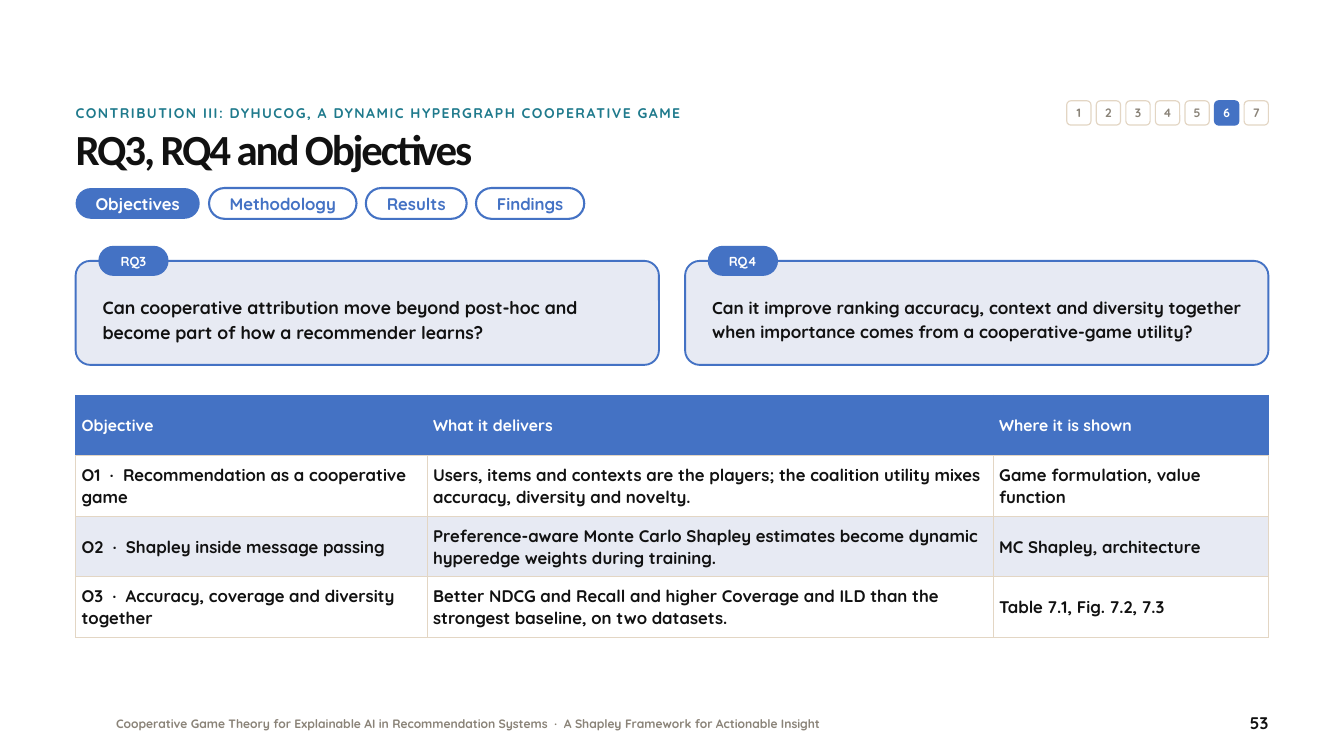
from lxml import etree
from pptx import Presentation
from pptx.dml.color import RGBColor
from pptx.enum.shapes import MSO_SHAPE
from pptx.enum.text import MSO_ANCHOR, PP_ALIGN
from pptx.oxml.ns import qn
from pptx.util import Pt

ROUNDED = MSO_SHAPE.ROUNDED_RECTANGLE
TOP, MIDDLE = MSO_ANCHOR.TOP, MSO_ANCHOR.MIDDLE
LEFT, CENTER, RIGHT = PP_ALIGN.LEFT, PP_ALIGN.CENTER, PP_ALIGN.RIGHT

COLORS = {
    "blue": "4472C4", "pale": "E7EAF3", "white": "FFFFFF", "ink": "111111",
    "grey": "8A8378", "sand": "E3D6C4", "teal": "1F7A8C",
}
MARGIN, CONTENT_WIDTH = 81, 1278
CARD_GAP = 28

STEPS = ["Objectives", "Methodology", "Results", "Findings"]
STEP_WIDTHS = [133, 158, 108, 116]
QUESTIONS = [
    ("RQ3", "Can cooperative attribution move beyond post-hoc and become part of "
            "how a recommender learns?", 19, 26.6),
    ("RQ4", "Can it improve ranking accuracy, context and diversity together when "
            "importance comes from a cooperative-game utility?", 18.4, 25.8),
]
COLUMN_WIDTHS = [376.5, 606.5, 295]
OBJECTIVES = [
    ["Objective", "What it delivers", "Where it is shown"],
    ["O1  ·  Recommendation as a cooperative game",
     "Users, items and contexts are the players; the coalition utility mixes "
     "accuracy, diversity and novelty.",
     "Game formulation, value function"],
    ["O2  ·  Shapley inside message passing",
     "Preference-aware Monte Carlo Shapley estimates become dynamic hyperedge "
     "weights during training.",
     "MC Shapley, architecture"],
    ["O3  ·  Accuracy, coverage and diversity together",
     "Better NDCG and Recall and higher Coverage and ILD than the strongest "
     "baseline, on two datasets.",
     "Table 7.1, Fig. 7.2, 7.3"],
]


def rgb(name):
    return RGBColor.from_string(COLORS[name])


def write(frame, text, size, color, leading, align=LEFT, font="Quicksand", tracking=0):
    paragraph = frame.paragraphs[0]
    paragraph.alignment = align
    paragraph.line_spacing = Pt(leading)
    run = paragraph.add_run()
    run.text = text
    for name, value in {"name": font, "size": Pt(size), "bold": True}.items():
        setattr(run.font, name, value)
    run.font.color.rgb = rgb(color)
    if tracking:
        run._r.get_or_add_rPr().set("spc", str(round(tracking * 100)))


def set_frame(frame, anchor, side=0):
    settings = {
        "word_wrap": True, "vertical_anchor": anchor,
        "margin_left": Pt(side), "margin_right": Pt(side),
        "margin_top": 0, "margin_bottom": 0,
    }
    for name, value in settings.items():
        setattr(frame, name, value)


def add_text(slide, box, *content, anchor=TOP, **style):
    frame = slide.shapes.add_textbox(*map(Pt, box)).text_frame
    set_frame(frame, anchor)
    write(frame, *content, **style)


def add_rounded(slide, box, radius, fill=None, line=None, weight=2.25):
    shape = slide.shapes.add_shape(ROUNDED, *map(Pt, box))
    shape.shadow.inherit = False
    shape.adjustments[0] = radius
    if fill:
        shape.fill.solid()
        shape.fill.fore_color.rgb = rgb(fill)
    else:
        shape.fill.background()
    if line:
        shape.line.color.rgb = rgb(line)
        shape.line.width = Pt(weight)
    else:
        shape.line.fill.background()
    set_frame(shape.text_frame, MIDDLE, 3.6)
    return shape


def add_header(slide, left, top, width):
    add_text(slide, (left, top, 1019, 26),
             "CONTRIBUTION III: DYHUCOG, A DYNAMIC HYPERGRAPH COOPERATIVE GAME",
             15, "teal", 20, tracking=1.6)
    add_text(slide, (left, top + 26, width, 57.6), "RQ3, RQ4 and Objectives",
             46, "ink", 50.6, font="Calibri", tracking=-2.3)


def add_chapter_tracker(slide, right, top, count=7, current=6, size=26, pitch=31.68):
    for number in range(1, count + 1):
        active = number == current
        left = right - size - (count - number) * pitch
        square = add_rounded(slide, (left, top, size, size), 0.167,
                             "blue" if active else "white",
                             "blue" if active else "sand", 1.25)
        set_frame(square.text_frame, MIDDLE)
        write(square.text_frame, str(number), 13,
              "white" if active else "grey", 15, CENTER)


def add_step_pills(slide, left, top, height=33, gap=10, current="Objectives"):
    for label, width in zip(STEPS, STEP_WIDTHS):
        active = label == current
        pill = add_rounded(slide, (left, top, width, height), 0.5,
                           "blue" if active else None, None if active else "blue")
        write(pill.text_frame, label, 18, "white" if active else "blue", 21.6, CENTER)
        left += width + gap


def add_question_card(slide, left, top, width, height, question):
    label, text, size, leading = question
    add_rounded(slide, (left, top, width, height), 0.142, "pale", "blue", 2)
    tag = add_rounded(slide, (left + 25.5, top - 15, 73, 30), 0.5, "blue", "blue")
    write(tag.text_frame, label, 14, "white", 16.8, CENTER)
    add_text(slide, (left + 29, top + 21.5, width - 58, 79),
             text, size, "ink", leading, anchor=MIDDLE)


def set_cell_borders(cell, color):
    properties = cell._tc.get_or_add_tcPr()
    for side in ("lnL", "lnR", "lnT", "lnB"):
        line = etree.SubElement(properties, qn(f"a:{side}"), w=str(Pt(1)))
        fill = etree.SubElement(line, qn("a:solidFill"))
        etree.SubElement(fill, qn("a:srgbClr"), val=COLORS[color])


def add_objectives_table(slide, left, top, width, height):
    row_count = len(OBJECTIVES)
    table = slide.shapes.add_table(row_count, len(COLUMN_WIDTHS),
                                   *map(Pt, (left, top, width, height))).table
    for column, column_width in zip(table.columns, COLUMN_WIDTHS):
        column.width = Pt(column_width)
    for row_index, texts in enumerate(OBJECTIVES):
        table.rows[row_index].height = Pt(height / row_count)
        header = row_index == 0
        fill = "blue" if header else ("white" if row_index % 2 else "pale")
        for column_index, text in enumerate(texts):
            cell = table.cell(row_index, column_index)
            settings = {
                "vertical_anchor": MIDDLE,
                "margin_left": Pt(6.5), "margin_right": Pt(6.5),
                "margin_top": Pt(3.6), "margin_bottom": Pt(3.6),
            }
            for name, value in settings.items():
                setattr(cell, name, value)
            set_cell_borders(cell, "blue" if header else "sand")
            cell.fill.solid()
            cell.fill.fore_color.rgb = rgb(fill)
            style = (17, "white", 22.1) if header else (18, "ink", 23.4)
            write(cell.text_frame, text, *style)


def add_footer(slide, left, right, top):
    add_text(slide, (left, top + 4.5, 1008, 21.6),
             "Cooperative Game Theory for Explainable AI in Recommendation Systems"
             "  ·  A Shapley Framework for Actionable Insight", 13, "grey", 16)
    add_text(slide, (right - 86, top, 86, 26), "53", 18, "ink", 22, align=RIGHT)


def main():
    presentation = Presentation()
    presentation.slide_width, presentation.slide_height = Pt(1440), Pt(810)
    slide = presentation.slides.add_slide(presentation.slide_layouts[6])
    right = MARGIN + CONTENT_WIDTH

    add_header(slide, MARGIN, 109.5, CONTENT_WIDTH)
    add_chapter_tracker(slide, right, 108)
    add_step_pills(slide, MARGIN, 201.5)
    card_width = (CONTENT_WIDTH - CARD_GAP) / 2
    for index, question in enumerate(QUESTIONS):
        left = MARGIN + index * (card_width + CARD_GAP)
        add_question_card(slide, left, 279.5, card_width, 111.5, question)
    add_objectives_table(slide, MARGIN, 423.5, CONTENT_WIDTH, 259.2)
    add_footer(slide, 124.5, right, 763)
    presentation.save("out.pptx")


if __name__ == "__main__":
    main()
